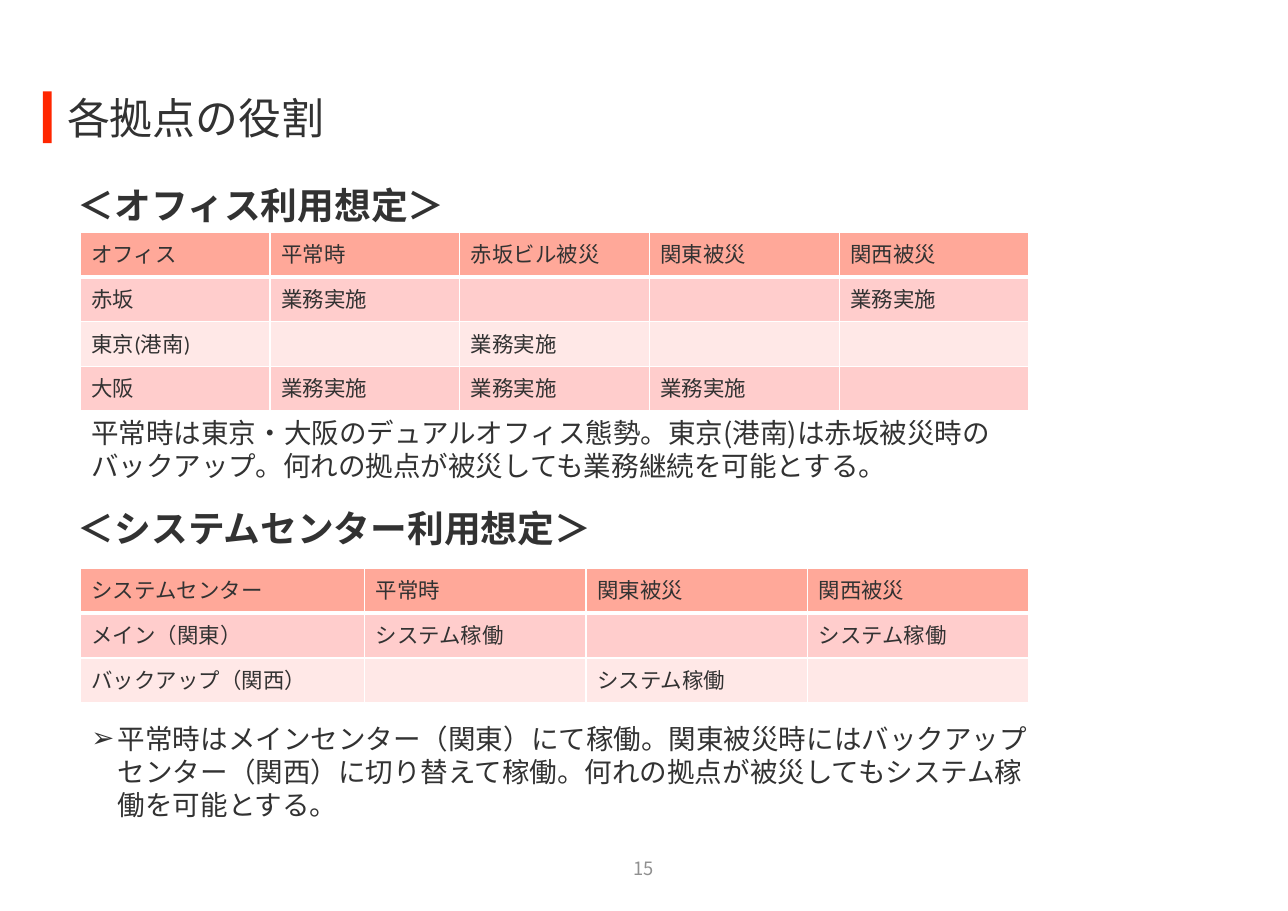
from lxml.etree import SubElement
from pptx import Presentation
from pptx.dml.color import RGBColor
from pptx.enum.shapes import MSO_SHAPE
from pptx.enum.text import MSO_ANCHOR, MSO_AUTO_SIZE, PP_ALIGN
from pptx.oxml.ns import qn
from pptx.util import Inches, Pt

COLORS = {
    "accent": "FF2600", "text": "323232", "number": "909090", "white": "FFFFFF",
    "header": "FFA899", "odd": "FFCDCC", "even": "FFE8E7",
}
FONT = "Noto Sans CJK JP"
FORMATS = {
    "title": {"name": FONT, "size": Pt(28), "bold": False},
    "heading": {"name": FONT, "size": Pt(24), "bold": True},
    "body": {"name": FONT, "size": Pt(18), "bold": False},
    "cell": {"name": "Calibri", "size": Pt(14), "bold": False},
    "number": {"name": FONT, "size": Pt(12), "bold": False},
}
WORK = "業務実施"
RUNNING = "システム稼働"
OFFICE_ROWS = [
    ["オフィス", "平常時", "赤坂ビル被災", "関東被災", "関西被災"],
    ["赤坂", WORK, "", "", WORK],
    ["東京(港南)", "", WORK, "", ""],
    ["大阪", WORK, WORK, WORK, ""],
]
CENTER_ROWS = [
    ["システムセンター", "平常時", "関東被災", "関西被災"],
    ["メイン（関東）", RUNNING, "", RUNNING],
    ["バックアップ（関西）", "", RUNNING, ""],
]
OFFICE_NOTE = (
    "平常時は東京・大阪のデュアルオフィス態勢。東京(港南)は赤坂被災時の"
    "バックアップ。何れの拠点が被災しても業務継続を可能とする。"
)
CENTER_NOTE = (
    "平常時はメインセンター（関東）にて稼働。関東被災時にはバックアップ"
    "センター（関西）に切り替えて稼働。何れの拠点が被災してもシステム稼働を可能とする。"
)


def rgb(color):
    """Return the named colour."""
    return RGBColor.from_string(COLORS[color])


def write(text_frame, text, style, color="text", align=PP_ALIGN.LEFT):
    """Write one formatted paragraph."""
    paragraph = text_frame.paragraphs[0]
    paragraph.alignment = align
    paragraph.space_before = Pt(0)
    run = paragraph.add_run()
    run.text = text
    for attribute, value in FORMATS[style].items():
        setattr(run.font, attribute, value)
    run.font.color.rgb = rgb(color)
    return paragraph


def place(shape, box):
    """Move a shape to a box given in inches."""
    for attribute, value in zip(("left", "top", "width", "height"), box):
        setattr(shape, attribute, Inches(value))


def add_text(slide, box, text, style, **options):
    """Add a wrapped text box."""
    text_frame = slide.shapes.add_textbox(*map(Inches, box)).text_frame
    text_frame.word_wrap = True
    write(text_frame, text, style, **options)
    return text_frame


def add_title(slide, box, text):
    """Fill the title and set the accent bar to its left."""
    left, top, width, height = box
    bar_box = (left - 0.22, top + 0.16, 0.08, 0.47)
    bar = slide.shapes.add_shape(MSO_SHAPE.RECTANGLE, *map(Inches, bar_box))
    bar.shadow.inherit = False
    bar.fill.solid()
    bar.fill.fore_color.rgb = rgb("accent")
    bar.line.fill.background()
    title = slide.shapes.title
    place(title, box)
    text_frame = title.text_frame
    text_frame.vertical_anchor = MSO_ANCHOR.MIDDLE
    text_frame.auto_size = MSO_AUTO_SIZE.NONE
    for side in ("left", "top", "right", "bottom"):
        setattr(text_frame, f"margin_{side}", 0)
    write(text_frame, text, "title")


def add_borders(cell, bottom_width):
    """Draw white lines around a cell."""
    properties = cell._tc.get_or_add_tcPr()
    for side, width in (("L", 1), ("R", 1), ("T", 1), ("B", bottom_width)):
        line = SubElement(properties, qn(f"a:ln{side}"), w=str(Pt(width)))
        fill = SubElement(line, qn("a:solidFill"))
        SubElement(fill, qn("a:srgbClr"), val=COLORS["white"])


def add_role_table(slide, box, rows, first_width):
    """Add a banded table whose columns after the first are equal."""
    count = len(rows[0])
    table = slide.shapes.add_table(len(rows), count, *map(Inches, box)).table
    for index, column in enumerate(table.columns):
        rest_width = (box[2] - first_width) / (count - 1)
        column.width = Inches(rest_width if index else first_width)
    for row_index, texts in enumerate(rows):
        color = ("even", "odd")[row_index % 2] if row_index else "header"
        for column_index, text in enumerate(texts):
            cell = table.cell(row_index, column_index)
            add_borders(cell, 1 if row_index else 3)
            cell.fill.solid()
            cell.fill.fore_color.rgb = rgb(color)
            if text:
                write(cell.text_frame, text, "cell")


def add_bullet_note(slide, box, text):
    """Fill the body placeholder with an arrow bullet."""
    body = slide.placeholders[1]
    place(body, box)
    body.text_frame.auto_size = MSO_AUTO_SIZE.NONE
    paragraph = body.text_frame.paragraphs[0]
    properties = paragraph._p.get_or_add_pPr()
    properties.set("marL", str(Inches(0.24)))
    properties.set("indent", str(-Inches(0.24)))
    bullet_color = SubElement(properties, qn("a:buClr"))
    SubElement(bullet_color, qn("a:srgbClr"), val=COLORS["text"])
    SubElement(properties, qn("a:buChar"), char="➢")
    write(body.text_frame, text, "body")


def add_office_section(slide, left, top):
    """Add the office heading, table and note."""
    add_text(slide, (left - 0.12, top, 8.83, 0.5), "＜オフィス利用想定＞", "heading")
    add_role_table(slide, (left, top + 0.5, 8.61, 1.62), OFFICE_ROWS, 8.61 / 5)
    add_text(slide, (left, top + 2.12, 8.83, 0.7), OFFICE_NOTE, "body")


def add_center_section(slide, left, top):
    """Add the system center heading, table and bullet note."""
    add_text(slide, (left - 0.12, top, 8.83, 0.5), "＜システムセンター利用想定＞", "heading")
    add_role_table(slide, (left, top + 0.62, 8.61, 1.22), CENTER_ROWS, 2.58)
    add_bullet_note(slide, (left, top + 1.96, 8.83, 1.07), CENTER_NOTE)


def main():
    """Build the slide and save it."""
    presentation = Presentation()
    presentation.slide_width = Inches(11.69)
    presentation.slide_height = Inches(8.27)
    slide = presentation.slides.add_slide(presentation.slide_layouts[1])
    add_title(slide, (0.61, 0.67, 9.65, 0.79), "各拠点の役割")
    add_office_section(slide, 0.73, 1.61)
    add_center_section(slide, 0.73, 4.54)
    number = add_text(slide, (3.87, 7.66, 3.94, 0.44), "15", "number",
                      color="number", align=PP_ALIGN.CENTER)
    number.vertical_anchor = MSO_ANCHOR.MIDDLE
    presentation.save("out.pptx")


if __name__ == "__main__":
    main()
